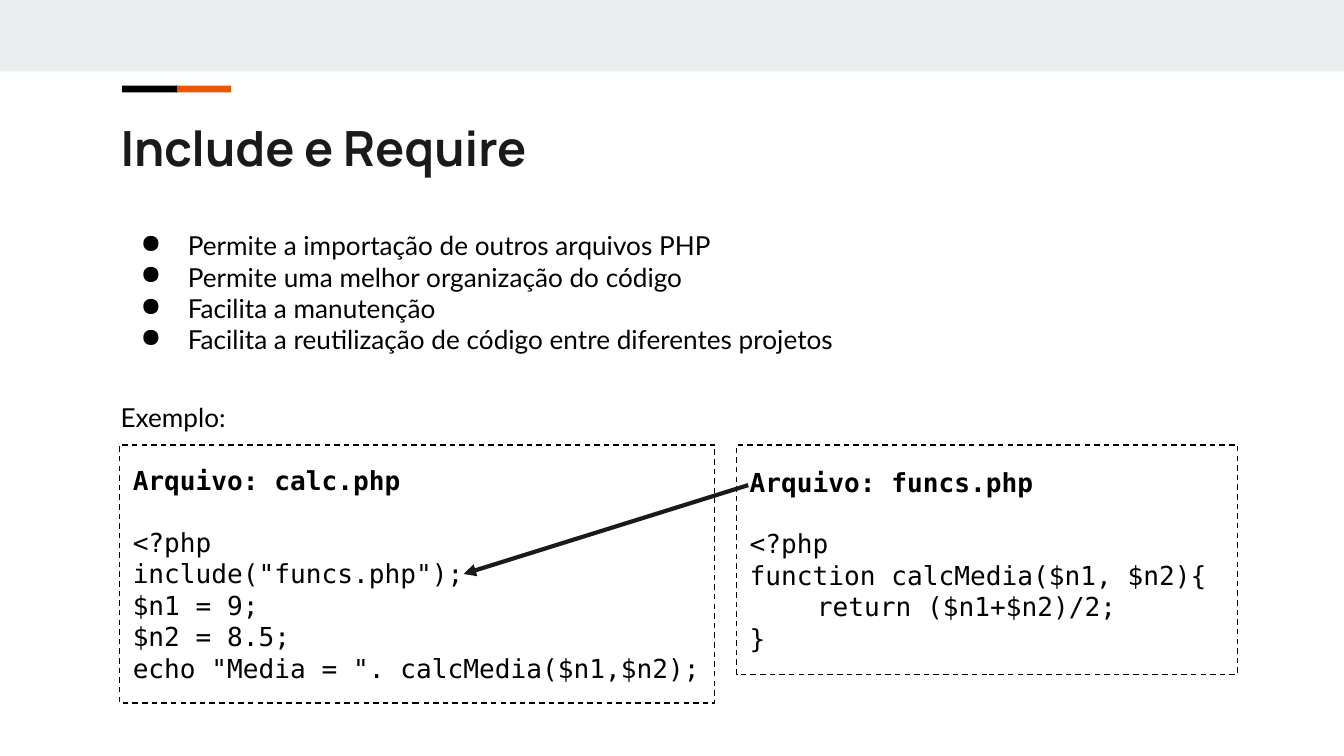
"""Build the slide about include and require in PHP."""
from dataclasses import dataclass

from lxml import etree
from pptx import Presentation
from pptx.dml.color import RGBColor
from pptx.enum.dml import MSO_LINE
from pptx.enum.shapes import MSO_CONNECTOR, MSO_SHAPE
from pptx.enum.text import MSO_ANCHOR, MSO_AUTO_SIZE, PP_ALIGN
from pptx.oxml.ns import qn
from pptx.slide import Slide
from pptx.text.text import TextFrame, _Paragraph
from pptx.util import Cm, Pt

RECTANGLE = MSO_SHAPE.RECTANGLE
STRAIGHT = MSO_CONNECTOR.STRAIGHT
DASH = MSO_LINE.DASH
TOP, MIDDLE = MSO_ANCHOR.TOP, MSO_ANCHOR.MIDDLE
LEFT = PP_ALIGN.LEFT
NO_AUTOFIT = MSO_AUTO_SIZE.NONE

BLACK = RGBColor(0x00, 0x00, 0x00)
INK = RGBColor(0x1A, 0x1A, 0x1A)
ORANGE = RGBColor(0xEB, 0x56, 0x00)
MIST = RGBColor(0xE9, 0xED, 0xEE)
TITLE_FONT, BODY_FONT, CODE_FONT = "Manrope", "Lato", "DejaVu Sans Mono"

MARGIN, TEXT_WIDTH = 2.03, 21.36
CODE_TOP = 8.41


@dataclass(frozen=True)
class Bar:
    left: float
    top: float
    width: float
    height: float
    color: RGBColor


@dataclass(frozen=True)
class CodeBox:
    left: float
    width: float
    height: float
    heading: str
    lines: tuple[str, ...]


BARS = (
    Bar(0, 0, 25.4, 1.35, MIST),
    Bar(3.33, 1.62, 1.04, 0.13, ORANGE),
    Bar(2.31, 1.62, 1.04, 0.13, BLACK),
)
BENEFITS = (
    "Permite a importação de outros arquivos PHP",
    "Permite uma melhor organização do código",
    "Facilita a manutenção",
    "Facilita a reutilização de código entre diferentes projetos",
)
CODE_BOXES = (
    CodeBox(13.92, 9.47, 4.34, "Arquivo: funcs.php", (
        "<?php",
        "function calcMedia($n1, $n2){",
        "\treturn ($n1+$n2)/2;",
        "}",
    )),
    CodeBox(2.26, 11.25, 4.88, "Arquivo: calc.php", (
        "<?php",
        'include("funcs.php");',
        "$n1 = 9;",
        "$n2 = 8.5;",
        'echo "Media = ". calcMedia($n1,$n2);',
    )),
)


def prepare_frame(frame: TextFrame, anchor: MSO_ANCHOR = TOP) -> None:
    """Set wrapping, anchor and equal insets."""
    frame.word_wrap = True
    frame.auto_size = NO_AUTOFIT
    frame.vertical_anchor = anchor
    frame.margin_left = frame.margin_right = Cm(0.25)
    frame.margin_top = frame.margin_bottom = Cm(0.25)


def write(frame: TextFrame, text: str, *, font: str, size: float = 14,
          color: RGBColor = BLACK, bold: bool = False,
          before: float = 0) -> _Paragraph:
    """Append one formatted paragraph, filling the first one if it is empty."""
    para = frame.paragraphs[-1]
    if para.runs:
        para = frame.add_paragraph()
    para.alignment = LEFT
    para.line_spacing = 1.0
    para.space_before, para.space_after = Pt(before), Pt(0)
    span = para.add_run()
    span.text = text
    span.font.name, span.font.size, span.font.bold = font, Pt(size), bold
    span.font.color.rgb = color
    return para


def add_bullet(para: _Paragraph) -> None:
    """Give a paragraph a round bullet and a hanging indent."""
    properties = para._p.get_or_add_pPr()
    properties.set("marL", str(Cm(1.27)))
    properties.set("indent", str(Cm(-0.89)))
    etree.SubElement(properties, qn("a:buChar"), char="●")


def draw_bar(slide: Slide, bar: Bar) -> None:
    """Draw a plain filled bar."""
    box = slide.shapes.add_shape(RECTANGLE, Cm(bar.left), Cm(bar.top),
                                 Cm(bar.width), Cm(bar.height))
    box.shadow.inherit = False
    box.fill.solid()
    box.fill.fore_color.rgb = bar.color
    box.line.fill.background()


def draw_code(slide: Slide, code: CodeBox) -> None:
    """Draw a dashed box with a file heading and its code."""
    box = slide.shapes.add_shape(RECTANGLE, Cm(code.left), Cm(CODE_TOP),
                                 Cm(code.width), Cm(code.height))
    box.shadow.inherit = False
    box.fill.background()
    box.line.color.rgb = BLACK
    box.line.width = Pt(0.75)
    box.line.dash_style = DASH
    prepare_frame(box.text_frame, MIDDLE)
    write(box.text_frame, code.heading, font=CODE_FONT, bold=True)
    for index, line in enumerate(code.lines):
        write(box.text_frame, line, font=CODE_FONT, before=0 if index else 16.3)


def draw_title(slide: Slide, text: str) -> None:
    """Place and fill the title placeholder."""
    title = slide.shapes.title
    title.left, title.top = Cm(MARGIN), Cm(1.98)
    title.width, title.height = Cm(TEXT_WIDTH), Cm(1.5)
    prepare_frame(title.text_frame)
    write(title.text_frame, text, font=TITLE_FONT, size=26, color=INK, bold=True)


def draw_body(slide: Slide) -> None:
    """Write the bulleted benefits and the lead-in to the example."""
    box = slide.shapes.add_textbox(Cm(MARGIN), Cm(4.09), Cm(TEXT_WIDTH), Cm(4.34))
    prepare_frame(box.text_frame)
    for benefit in BENEFITS:
        add_bullet(write(box.text_frame, benefit, font=BODY_FONT))
    write(box.text_frame, "Exemplo:", font=BODY_FONT, before=25)


def draw_arrow(slide: Slide) -> None:
    """Draw the arrow from the included file to the include line."""
    arrow = slide.shapes.add_connector(STRAIGHT, Cm(14.14), Cm(9.17),
                                       Cm(8.76), Cm(10.85))
    arrow.line.color.rgb = INK
    arrow.line.width = Pt(2.25)
    etree.SubElement(arrow.line._get_or_add_ln(), qn("a:tailEnd"), type="triangle")
    etree.SubElement(arrow._element.spPr, qn("a:effectLst"))


def main() -> None:
    """Build and save the deck."""
    deck = Presentation()
    deck.slide_width, deck.slide_height = Cm(25.4), Cm(14.29)
    page = deck.slides.add_slide(deck.slide_layouts.get_by_name("Title Only"))
    for bar in BARS:
        draw_bar(page, bar)
    draw_title(page, "Include e Require")
    draw_body(page)
    for code in CODE_BOXES:
        draw_code(page, code)
    draw_arrow(page)
    deck.save("out.pptx")


main()
